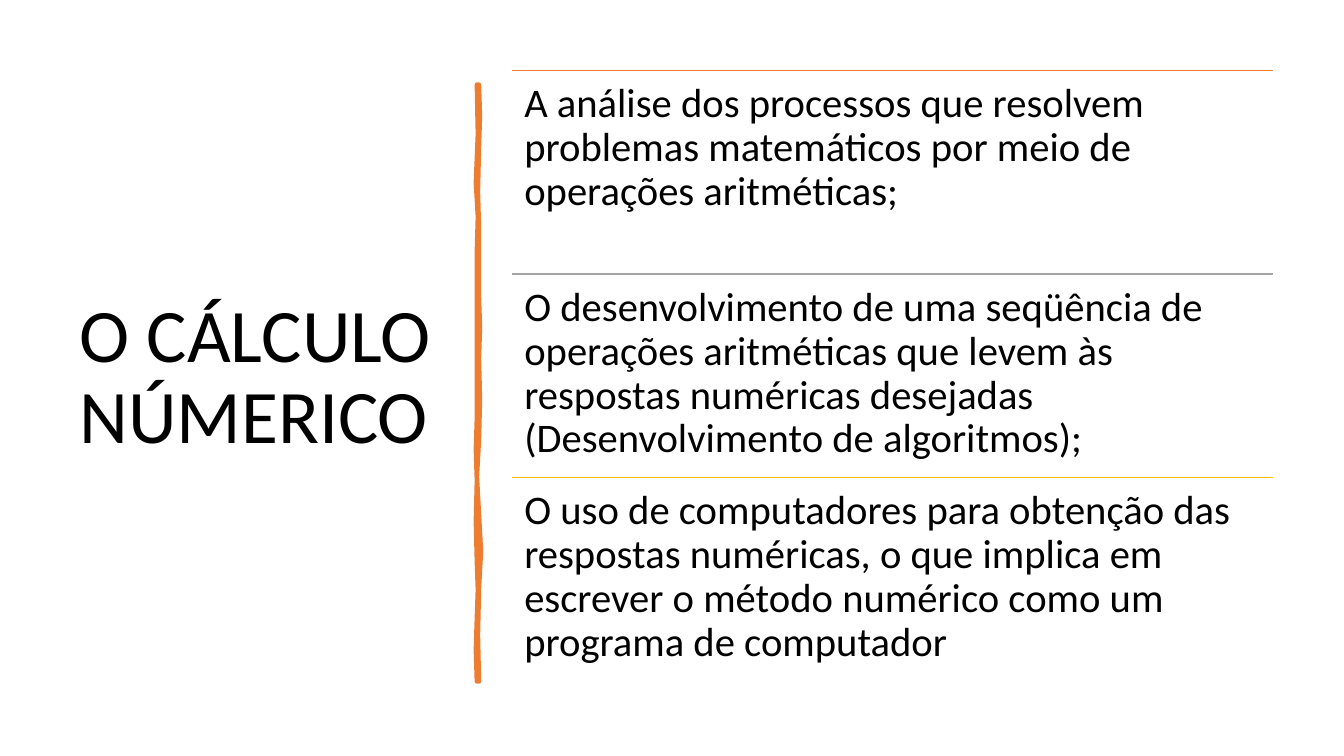
from dataclasses import dataclass

from pptx import Presentation
from pptx.dml.color import RGBColor
from pptx.enum import shapes, text
from pptx.oxml import ns
from pptx.util import Inches, Pt
from lxml import etree


@dataclass(frozen=True)
class Theme:
    font: str = "Calibri"
    ink: str = "000000"
    orange: str = "ED7D31"
    gray: str = "A5A5A5"
    gold: str = "FFC000"
    title_size: float = 54
    body_size: float = 29
    rule_width: float = 1
    brush_width: float = 3.25


THEME = Theme()

TOPICS = [
    (THEME.orange, "A análise dos processos que resolvem problemas matemáticos "
                   "por meio de operações aritméticas;"),
    (THEME.gray, "O desenvolvimento de uma seqüência de operações aritméticas que "
                 "levem às respostas numéricas desejadas (Desenvolvimento de algoritmos);"),
    (THEME.gold, "O uso de computadores para obtenção das respostas numéricas, o que "
                 "implica em escrever o método numérico como um programa de computador"),
]
TOPIC_LEFT, TOPIC_TOP, TOPIC_WIDTH, TOPIC_HEIGHT = 5.08, 0.7, 7.55, 2.02

BRUSH_RIGHT = [
    (4.75, 0.84), (4.76, 1.15), (4.75, 1.46), (4.74, 1.9), (4.75, 2.26),
    (4.75, 2.94), (4.76, 3.25), (4.75, 3.56), (4.76, 3.96), (4.75, 4.36),
    (4.73, 4.73), (4.75, 5.1), (4.77, 5.47), (4.75, 5.84), (4.74, 6.3), (4.75, 6.76),
]
BRUSH_LEFT = [
    (4.73, 6.76), (4.72, 6.45), (4.73, 6.13), (4.74, 5.85), (4.73, 5.57),
    (4.72, 5.17), (4.73, 4.77), (4.72, 4.46), (4.73, 4.15), (4.73, 3.35),
    (4.73, 2.5), (4.74, 2.15), (4.72, 1.81), (4.74, 1.33), (4.73, 0.84),
]


def color(value):
    return RGBColor.from_string(value)


def write_text(sp, content, *, size, anchor, inset=(0.1, 0.05)):
    tf = sp.text_frame
    tf.word_wrap = True
    tf.auto_size = text.MSO_AUTO_SIZE.NONE
    tf.vertical_anchor = anchor
    tf.margin_left = tf.margin_right = Inches(inset[0])
    tf.margin_top = tf.margin_bottom = Inches(inset[1])
    p = tf.paragraphs[0]
    p.alignment = text.PP_ALIGN.LEFT
    p.line_spacing = 0.9
    r = p.add_run()
    r.text = content
    r.font.name = THEME.font
    r.font.size = Pt(size)
    r.font.color.rgb = color(THEME.ink)


def add_title(s, content):
    sp = s.shapes.title
    sp.left, sp.top = Inches(0.69), Inches(0.7)
    sp.width, sp.height = Inches(3.74), Inches(6.11)
    write_text(sp, content, size=THEME.title_size, anchor=text.MSO_ANCHOR.MIDDLE)


def add_brush_stroke(s):
    start, *rest = [(Inches(x), Inches(y)) for x, y in BRUSH_RIGHT + BRUSH_LEFT]
    builder = s.shapes.build_freeform(*start)
    builder.add_line_segments(rest, close=True)
    sp = builder.convert_to_shape()
    sp.shadow.inherit = False
    sp.fill.solid()
    sp.fill.fore_color.rgb = color(THEME.orange)
    sp.line.color.rgb = color(THEME.orange)
    sp.line.width = Pt(THEME.brush_width)


def add_rule(s, left, top, width, line_color):
    x, y = Inches(left), Inches(top)
    rule = s.shapes.add_connector(
        shapes.MSO_CONNECTOR.STRAIGHT, x, y, x + Inches(width), y)
    rule.line.color.rgb = color(line_color)
    rule.line.width = Pt(THEME.rule_width)
    etree.SubElement(rule._element.spPr, ns.qn("a:effectLst"))


def add_topic(s, top, content, line_color):
    add_rule(s, TOPIC_LEFT, top, TOPIC_WIDTH, line_color)
    sp = s.shapes.add_textbox(Inches(TOPIC_LEFT), Inches(top),
                              Inches(TOPIC_WIDTH), Inches(TOPIC_HEIGHT))
    write_text(sp, content, size=THEME.body_size,
               anchor=text.MSO_ANCHOR.TOP, inset=(0.12, 0.12))


def main():
    prs = Presentation()
    prs.slide_width, prs.slide_height = Inches(13.33), Inches(7.5)
    s = prs.slides.add_slide(prs.slide_layouts.get_by_name("Title Only"))
    add_title(s, "O CÁLCULO NÚMERICO")
    add_brush_stroke(s)
    for i, (line_color, content) in enumerate(TOPICS):
        add_topic(s, TOPIC_TOP + i * TOPIC_HEIGHT, content, line_color)
    prs.save("out.pptx")


if __name__ == "__main__":
    main()
